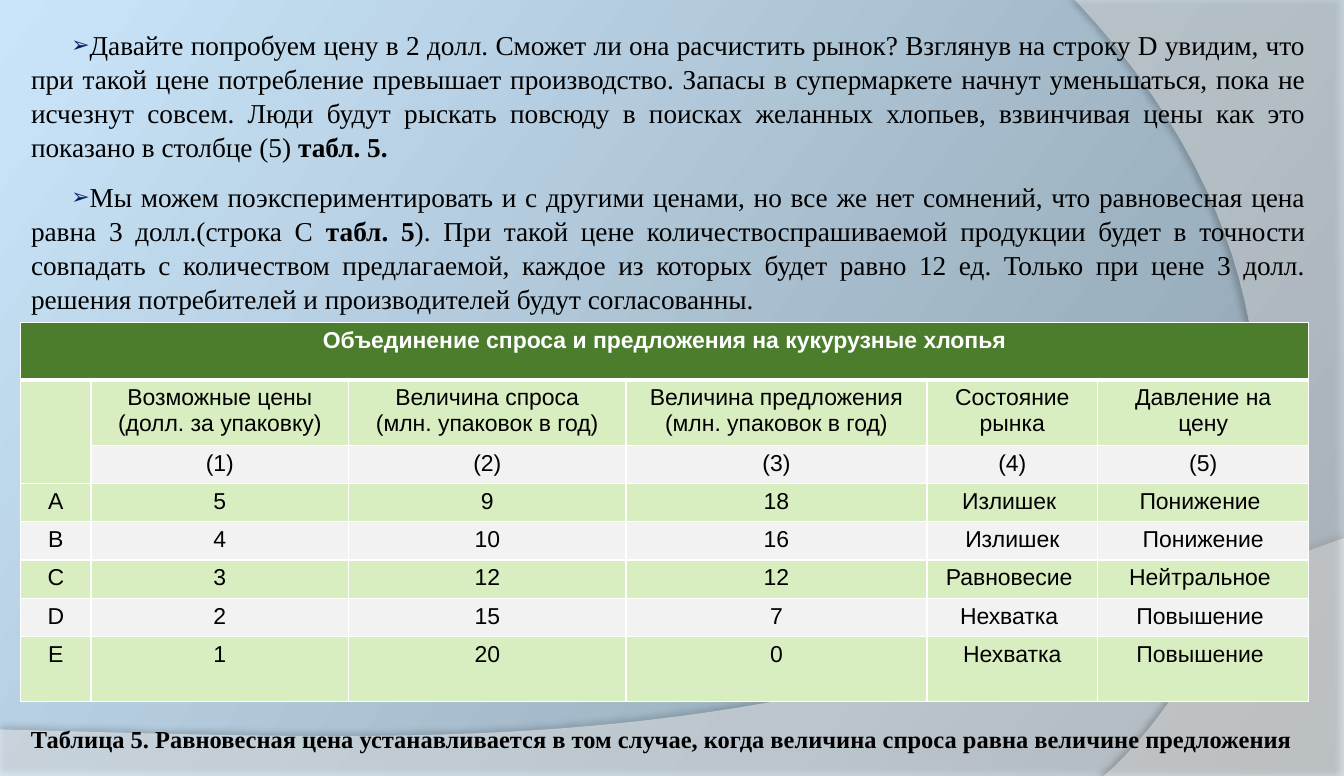
from pptx import Presentation
from pptx.dml.color import RGBColor
from pptx.enum.text import MSO_ANCHOR, MSO_AUTO_SIZE, PP_ALIGN as Align
from pptx.oxml.ns import qn
from pptx.util import Emu, Inches, Pt
from lxml.etree import SubElement

# Content: (text, bold) runs of each paragraph
PARAGRAPHS = [
    [("Давайте попробуем цену в 2 долл. Сможет ли она расчистить рынок? Взглянув на строку D "
      "увидим, что при такой цене потребление превышает производство. Запасы в супермаркете "
      "начнут уменьшаться, пока не исчезнут совсем. Люди будут рыскать повсюду в поисках "
      "желанных хлопьев, взвинчивая цены как это показано в столбце (5) ", False),
     ("табл. 5.", True)],
    [("Мы можем поэкспериментировать и с другими ценами, но все же нет сомнений, что "
      "равновесная цена равна 3 долл.(строка С ", False),
     ("табл. 5", True),
     ("). При такой цене количествоспрашиваемой продукции будет в точности совпадать с "
      "количеством предлагаемой, каждое из которых будет равно 12 ед. Только при цене 3 долл. "
      "решения потребителей и производителей будут согласованны.", False)],
]
CAPTION = ("Таблица 5. Равновесная цена устанавливается в том случае, "
           "когда величина спроса равна величине предложения")
ROWS = [
    ["Объединение спроса и предложения на кукурузные хлопья", "", "", "", "", ""],
    ["", "Возможные цены (долл. за упаковку)", "Величина спроса\n(млн. упаковок в год)",
     "Величина предложения\n(млн. упаковок в год)", "Состояние рынка", "Давление на цену"],
    ["", "(1)", "(2)", "(3)", "(4)", "(5)"],
    ["A", "5", "9", "18", "Излишек ", "Понижение "],
    ["B", "4", "10", "16", "Излишек", "Понижение"],
    ["C", "3", "12", "12", "Равновесие ", "Нейтральное "],
    ["D", "2", "15", "7", "Нехватка ", "Повышение "],
    ["E", "1", "20", "0", "Нехватка", "Повышение "],
]

# Format values, lengths in inches
WIDTH, HEIGHT = 12.99, 7.5
LEFT, TEXT_WIDTH = 0.2, 12.52
COL_WIDTHS = [0.68, 2.49, 2.68, 2.91, 1.65, 2.04]
ROW_HEIGHTS = [0.55, 0.63] + [0.37] * 5 + [0.63]
TABLE_TOP = 3.12
SERIF, SANS = "Times New Roman", "Arial"
BLACK, WHITE, NAVY = "000000", "FFFFFF", "002060"
GREEN, BANDS = "4B7D2C", ("F2F2F2", "D8EEC0")
BACKGROUND = [(0, "8495A2"), (30, "9DB2C1"), (100, "CAE5FA")]

# Decorative waves: corner points, then one Bezier edge starting at the last corner
WAVES = [
    dict(corners=[(0, 7.05), (0, HEIGHT), (WIDTH, HEIGHT), (WIDTH, 5.2)],
         curve=[(7.26, 7.29), (5.08, 7.19), (0, 7.05)],
         opacity=45, shadow=dict(opacity=35, blur=4, dist=3.5, angle=270)),
    dict(corners=[(WIDTH, 0), (WIDTH, HEIGHT), (10.67, HEIGHT)],
         curve=[(12.14, 6.19), (13.22, 3), (10.39, 0)],
         opacity=40, shadow=dict(opacity=45, blur=4, dist=4, angle=180)),
]


def rgb(value):
    return RGBColor.from_string(value)


def add(parent, tag, **attrs):
    return SubElement(parent, qn(tag), {k: str(v) for k, v in attrs.items()})


def add_run(p, text, font, size, color=BLACK, bold=False):
    r = p.add_run()
    r.text = text
    for name, value in dict(name=font, size=Pt(size), bold=bold).items():
        setattr(r.font, name, value)
    r.font.color.rgb = rgb(color)


def bezier(points, steps=40):
    for i in range(1, steps + 1):
        t = i / steps
        weights = ((1 - t) ** 3, 3 * t * (1 - t) ** 2, 3 * t * t * (1 - t), t ** 3)
        yield tuple(sum(w * pt[axis] for w, pt in zip(weights, points)) for axis in (0, 1))


def add_wave(slide, corners, curve, opacity, shadow):
    outline = corners + list(bezier([corners[-1]] + curve))
    points = [(Inches(x), Inches(y)) for x, y in outline]
    builder = slide.shapes.build_freeform(*points[0])
    builder.add_line_segments(points[1:], close=True)
    sp = builder.convert_to_shape()
    sp.shadow.inherit = False
    sp.fill.solid()
    sp.fill.fore_color.rgb = rgb(WHITE)
    sp.line.fill.background()
    sp_pr = sp._element.spPr
    add(sp_pr.find(qn("a:solidFill"))[0], "a:alpha", val=opacity * 1000)
    outer = add(sp_pr.find(qn("a:effectLst")), "a:outerShdw", blurRad=Pt(shadow["blur"]),
                dist=Pt(shadow["dist"]), dir=shadow["angle"] * 60000, rotWithShape=0)
    add(add(outer, "a:srgbClr", val=BLACK), "a:alpha", val=shadow["opacity"] * 1000)
    return sp


def format_cell(cell, text, row):
    header = row == 0
    for name, value in dict(left=0.13, right=0.13, top=0.05, bottom=0.05).items():
        setattr(cell, "margin_" + name, Inches(value))
    tc_pr = cell._tc.get_or_add_tcPr()
    thick = {"a:lnB": header, "a:lnT": row == 1}
    for tag in ("a:lnL", "a:lnR", "a:lnT", "a:lnB"):
        ln = add(tc_pr, tag, w=Pt(3 if thick.get(tag) else 1))
        add(add(ln, "a:solidFill"), "a:srgbClr", val=WHITE)
    cell.fill.solid()
    cell.fill.fore_color.rgb = rgb(GREEN if header else BANDS[row % 2])
    tf = cell.text_frame
    for i, line in enumerate(text.split("\n") if text else []):
        p = tf.add_paragraph() if i else tf.paragraphs[0]
        p.alignment = Align.CENTER
        add_run(p, line, SANS, 16, WHITE if header else BLACK, header)


def main():
    prs = Presentation()
    prs.slide_width, prs.slide_height = Inches(WIDTH), Inches(HEIGHT)
    slide = prs.slides.add_slide(prs.slide_layouts[1])
    title, body = slide.placeholders
    title._element.getparent().remove(title._element)

    # Background gradient and waves behind the text
    fill = slide.background.fill
    fill.gradient()
    fill.gradient_angle = 360 - 217
    stops = slide._element.find(".//" + qn("a:gsLst"))
    for stop in list(stops):
        stops.remove(stop)
    for pos, color in BACKGROUND:
        add(add(stops, "a:gs", pos=pos * 1000), "a:srgbClr", val=color)
    for i, wave in enumerate(WAVES):
        slide.shapes._spTree.insert(2 + i, add_wave(slide, **wave)._element)

    # Body text with arrow bullets
    body.left, body.top = Inches(LEFT), Inches(0.21)
    body.width, body.height = Inches(TEXT_WIDTH), Inches(3.15)
    tf = body.text_frame
    tf.auto_size, tf.vertical_anchor = MSO_AUTO_SIZE.NONE, MSO_ANCHOR.TOP
    for i, runs in enumerate(PARAGRAPHS):
        p = tf.add_paragraph() if i else tf.paragraphs[0]
        p.alignment, p.line_spacing, p.space_before = Align.JUSTIFY, 1.04, Pt(11)
        p_pr = p._p.get_or_add_pPr()
        p_pr.set("marL", "0")
        p_pr.set("indent", str(Inches(0.39)))
        add(add(p_pr, "a:buClr"), "a:srgbClr", val=NAVY)
        add(p_pr, "a:buSzPct", val=80000)
        add(p_pr, "a:buFont", typeface=SANS)
        add(p_pr, "a:buChar", char="➢")
        for text, bold in runs:
            add_run(p, text, SERIF, 19, bold=bold)

    # Caption
    box = slide.shapes.add_textbox(Inches(LEFT), Inches(6.95), Inches(TEXT_WIDTH), Inches(0.39))
    box.text_frame.word_wrap = True
    add_run(box.text_frame.paragraphs[0], CAPTION, SERIF, 17, bold=True)

    # Supply and demand table
    table = slide.shapes.add_table(
        len(ROWS), len(COL_WIDTHS), Inches(LEFT), Inches(TABLE_TOP),
        Inches(sum(COL_WIDTHS)), Inches(sum(ROW_HEIGHTS))).table
    table.first_row = table.horz_banding = False
    for column, width in zip(table.columns, COL_WIDTHS):
        column.width = Inches(width)
    for row, height in zip(table.rows, ROW_HEIGHTS):
        row.height = Inches(height)
    for r, texts in enumerate(ROWS):
        for c, text in enumerate(texts):
            format_cell(table.cell(r, c), text, r)
    table.cell(0, 0).merge(table.cell(0, len(COL_WIDTHS) - 1))
    table.cell(1, 0).merge(table.cell(2, 0))

    prs.save("out.pptx")


if __name__ == "__main__":
    main()
